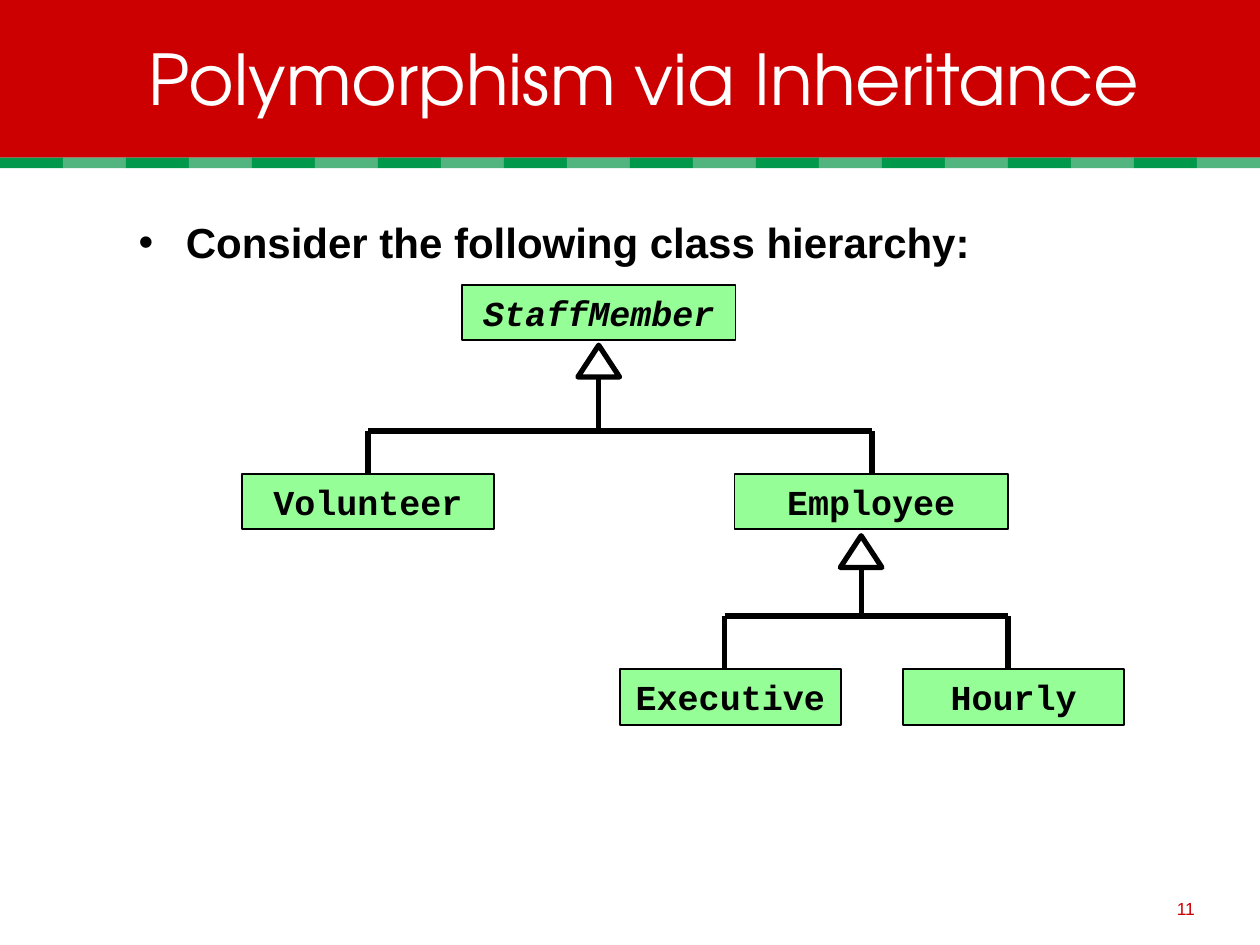
from lxml.etree import SubElement
from pptx import Presentation
from pptx.dml.color import RGBColor
from pptx.enum.shapes import MSO_CONNECTOR as Connector, MSO_SHAPE as Shape
from pptx.enum.text import MSO_ANCHOR as Anchor, MSO_AUTO_SIZE as AutoSize, PP_ALIGN as Align
from pptx.oxml.ns import qn
from pptx.util import Cm, Pt

RED = RGBColor(0xCC, 0x00, 0x00)
DARK_GREEN = RGBColor(0x00, 0x98, 0x4A)
LIGHT_GREEN = RGBColor(0x52, 0xB4, 0x7E)
BOX_GREEN = RGBColor(0x96, 0xFE, 0x96)
BULLET_RED = RGBColor(0xC4, 0x0C, 0x42)
BLACK = RGBColor(0x00, 0x00, 0x00)
WHITE = RGBColor(0xFF, 0xFF, 0xFF)

BOX_HEIGHT = 1.12
TRIANGLE_WIDTH, TRIANGLE_HEIGHT = 0.84, 0.64

CLASS_BOXES = [
    ("StaffMember", 9.32, 5.74, 5.51, True),
    ("Executive", 12.5, 13.49, 4.45, False),
    ("Hourly", 18.21, 13.49, 4.45, False),
    ("Volunteer", 4.88, 9.55, 5.08, False),
    ("Employee", 14.81, 9.55, 5.51, False),
]


def place(shape, left, top, width, height):
    """Move and size a shape in centimetres."""
    shape.left, shape.top = Cm(left), Cm(top)
    shape.width, shape.height = Cm(width), Cm(height)


def set_text(shape, text, name, size, color, bold=None, italic=None, anchor=Anchor.MIDDLE):
    """Fill a shape with one formatted paragraph and return it."""
    frame = shape.text_frame
    frame.text = text
    frame.word_wrap = True
    frame.auto_size = AutoSize.NONE
    frame.vertical_anchor = anchor
    paragraph = frame.paragraphs[0]
    font = paragraph.font
    font.name, font.size, font.bold, font.italic = name, Pt(size), bold, italic
    font.color.rgb = color
    return paragraph


def add_band(slide, left, top, width, height, color):
    """Add a plain filled rectangle without an outline."""
    band = slide.shapes.add_shape(Shape.RECTANGLE, Cm(left), Cm(top), Cm(width), Cm(height))
    band.shadow.inherit = False
    band.fill.solid()
    band.fill.fore_color.rgb = color
    band.line.fill.background()


def add_header(slide):
    """Draw the red header with its striped border."""
    add_band(slide, 0, 0, 25.4, 3.18, RED)
    for index in range(20):
        color = LIGHT_GREEN if index % 2 else DARK_GREEN
        add_band(slide, index * 1.27, 3.18, 1.27, 0.21, color)


def add_title(slide, text):
    """Format the title placeholder and bring it in front of the header."""
    title = slide.shapes.title
    place(title, 2.74, 0.61, 22.02, 1.91)
    set_text(title, text, "TeX Gyre Adventor", 40, WHITE).alignment = Align.LEFT
    title.element.getparent().append(title.element)


def add_bullet(paragraph):
    """Give a paragraph a coloured bullet and a hanging indent."""
    properties = paragraph._p.get_or_add_pPr()
    properties.set("marL", str(Cm(0.95)))
    properties.set("indent", str(-Cm(0.95)))
    color = SubElement(properties, qn("a:buClr"))
    SubElement(color, qn("a:srgbClr"), val=str(BULLET_RED))
    SubElement(properties, qn("a:buChar"), char="•")


def add_body(slide, text):
    """Format the body placeholder as a bulleted list."""
    body = slide.placeholders[1]
    place(body, 2.54, 4.24, 22.02, 13.77)
    add_bullet(body.text_frame.paragraphs[0])
    paragraph = set_text(body, text, "Arial", 24, BLACK, bold=True, anchor=Anchor.TOP)
    paragraph.space_before = Pt(0)


def add_line(slide, start_x, start_y, end_x, end_y):
    """Add a thick black line."""
    line = slide.shapes.add_connector(
        Connector.STRAIGHT, Cm(start_x), Cm(start_y), Cm(end_x), Cm(end_y))
    line.line.color.rgb = BLACK
    line.line.width = Pt(3)
    SubElement(line.element.spPr, qn("a:effectLst"))


def add_inheritance(slide, apex_x, apex_y, bar_y, child_xs, child_y):
    """Draw a hollow triangle with lines down to the subclasses."""
    triangle = slide.shapes.add_shape(
        Shape.ISOSCELES_TRIANGLE, Cm(apex_x - TRIANGLE_WIDTH / 2), Cm(apex_y),
        Cm(TRIANGLE_WIDTH), Cm(TRIANGLE_HEIGHT))
    triangle.shadow.inherit = False
    triangle.fill.background()
    triangle.line.color.rgb = BLACK
    triangle.line.width = Pt(3)
    add_line(slide, apex_x, bar_y, apex_x, apex_y + TRIANGLE_HEIGHT)
    add_line(slide, child_xs[0], bar_y, child_xs[-1], bar_y)
    for child_x in child_xs:
        add_line(slide, child_x, bar_y, child_x, child_y)


def add_class_box(slide, name, left, top, width, abstract):
    """Add a class box, with an italic name for an abstract class."""
    box = slide.shapes.add_shape(
        Shape.RECTANGLE, Cm(left), Cm(top), Cm(width), Cm(BOX_HEIGHT))
    box.shadow.inherit = False
    box.fill.solid()
    box.fill.fore_color.rgb = BOX_GREEN
    box.line.color.rgb = BLACK
    box.line.width = Pt(1)
    paragraph = set_text(box, name, "Courier New", 20, BLACK, bold=True, italic=abstract)
    paragraph.alignment = Align.CENTER


def add_slide_number(slide, number):
    """Add the slide number at the bottom right."""
    box = slide.shapes.add_textbox(Cm(19.05), Cm(17.58), Cm(5.29), Cm(1.07))
    paragraph = set_text(box, number, "Arial", 10, RED, anchor=Anchor.BOTTOM)
    paragraph.alignment = Align.RIGHT


def main():
    """Build and save the presentation."""
    presentation = Presentation()
    presentation.slide_width, presentation.slide_height = Cm(25.4), Cm(19.05)
    slide = presentation.slides.add_slide(presentation.slide_layouts[1])
    add_header(slide)
    add_title(slide, "Polymorphism via Inheritance")
    add_body(slide, "Consider the following class hierarchy:")
    add_inheritance(slide, 12.07, 6.96, 8.69, (7.42, 17.58), 9.55)
    add_inheritance(slide, 17.36, 10.8, 12.42, (14.61, 20.32), 13.49)
    for class_box in CLASS_BOXES:
        add_class_box(slide, *class_box)
    add_slide_number(slide, "11")
    presentation.save("out.pptx")


if __name__ == "__main__":
    main()
